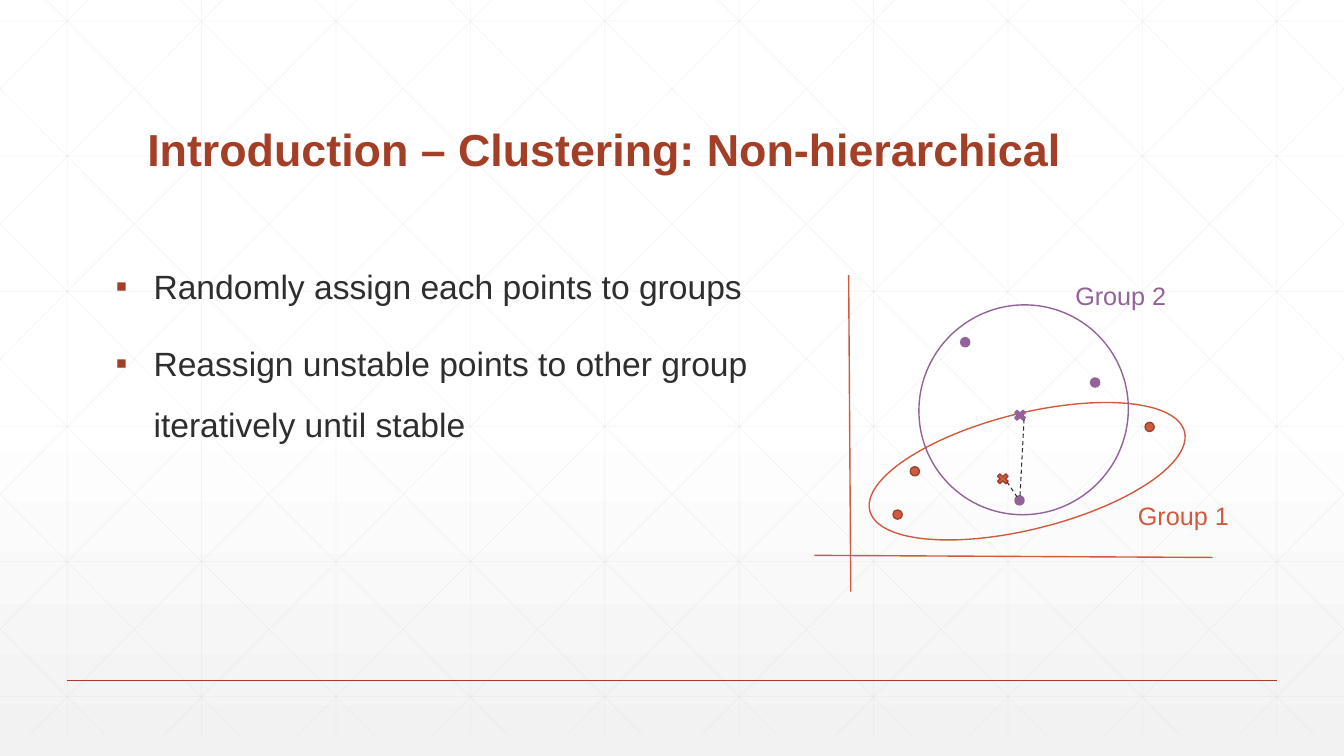
from lxml.etree import SubElement as Sub
from pptx import Presentation
from pptx.dml.color import RGBColor as RGB
from pptx.enum.dml import MSO_LINE as Dash
from pptx.enum.shapes import MSO_CONNECTOR as Conn, MSO_SHAPE as Kind
from pptx.enum.text import MSO_ANCHOR as Anchor, PP_ALIGN as Align
from pptx.oxml.ns import qn
from pptx.util import Pt

HUES = {
    "white": "FFFFFF", "mist": "F2F2F2", "grid": "D9D9D9", "rust": "A43F27",
    "red": "D15A3E", "edge": "9B432E", "plum": "926397", "ink": "2D2E2D",
}
WIDE, HIGH = 960, 540


def hue(name):
    return RGB.from_string(HUES[name])


def assign(obj, vals):
    for key, val in vals.items():
        setattr(obj, key, val)


class Deck:
    """Holds the text font and the slide being drawn."""

    def __init__(self, slide, font="Arial"):
        self.slide, self.shapes, self.font = slide, slide.shapes, font

    def back(self, top, low, start):
        fill = self.slide.background.fill
        fill.gradient()
        fill.gradient_angle = 270
        for stop, name, pos in zip(fill.gradient_stops, (top, low), (start, 1)):
            stop.color.rgb = hue(name)
            stop.position = pos

    def line(self, x1, y1, x2, y2, color, width=1, dash=None, alpha=None):
        conn = self.shapes.add_connector(
            Conn.STRAIGHT, Pt(x1), Pt(y1), Pt(x2), Pt(y2))
        conn.line.color.rgb = hue(color)
        assign(conn.line, {"width": Pt(width), "dash_style": dash})
        prop = conn._element.spPr
        if alpha:
            tint = prop.find(".//" + qn("a:srgbClr"))
            Sub(tint, qn("a:alpha"), val=str(alpha * 1000))
        Sub(prop, qn("a:effectLst"))

    def shape(self, kind, x, y, w, h, edge, fill=None, turn=0):
        item = self.shapes.add_shape(kind, Pt(x), Pt(y), Pt(w), Pt(h))
        item.shadow.inherit = False
        item.rotation = turn
        item.line.color.rgb = hue(edge)
        item.line.width = Pt(1)
        if fill:
            item.fill.solid()
            item.fill.fore_color.rgb = hue(fill)
        else:
            item.fill.background()

    def text(self, para, words, size, color, bold=False):
        run = para.add_run()
        run.text = words
        assign(run.font, {"name": self.font, "size": Pt(size), "bold": bold})
        run.font.color.rgb = hue(color)

    def title(self, x, y, w, h, words):
        item = self.shapes.title
        self.shapes._spTree.append(item._element)  # above the grid
        assign(item, {"left": Pt(x), "top": Pt(y), "width": Pt(w), "height": Pt(h)})
        frame = item.text_frame
        assign(frame, {"vertical_anchor": Anchor.BOTTOM, "word_wrap": True})
        para = frame.paragraphs[0]
        assign(para, {"alignment": Align.LEFT, "line_spacing": 0.9})
        self.text(para, words, 32, "rust", True)

    def box(self, x, y, w, h):
        frame = self.shapes.add_textbox(Pt(x), Pt(y), Pt(w), Pt(h)).text_frame
        frame.word_wrap = True
        return frame

    def label(self, x, y, words, color):
        self.text(self.box(x, y, 80, 28.8).paragraphs[0], words, 18, color)

    def points(self, x, y, w, h, items):
        frame = self.box(x, y, w, h)
        for num, words in enumerate(items):
            para = frame.add_paragraph() if num else frame.paragraphs[0]
            gap = Pt(0 if num else 12)
            assign(para, {"line_spacing": 1.5, "space_before": gap,
                          "space_after": gap})
            prop = para._p.get_or_add_pPr()
            prop.set("marL", str(Pt(27)))
            prop.set("indent", str(Pt(-27)))
            Sub(Sub(prop, qn("a:buClr")), qn("a:srgbClr"), val=HUES["rust"])
            Sub(prop, qn("a:buFont"), typeface=self.font)
            Sub(prop, qn("a:buChar"), char="▪")
            self.text(para, words, 24, "ink")


def grid(deck):
    top, low, step, run = -15, 525, 96, 537
    faint = {"color": "grid", "width": 0.5, "alpha": 25}
    for col in range(10):
        x = 48 + step * col
        deck.line(x, top, x, low, **faint)
    for row in range(6):
        y = 15 + 96.5 * row
        deck.line(0, y, WIDE, y, **faint)
    # Diagonals, cut at the slide sides and mirrored
    slope = (low - top) / run
    for num in range(-5, 10):
        x = 18 + step * num
        x1, x2 = max(x, 0), min(x + run, WIDE)
        y1, y2 = (top + (end - x) * slope for end in (x1, x2))
        deck.line(x1, y1, x2, y2, **faint)
        deck.line(WIDE - x1, y1, WIDE - x2, y2, **faint)


def chart(deck):
    # Points of both groups
    dots = {
        ("red", "edge"): [(650.2, 333.4), (637.9, 364.3), (817.9, 301.7)],
        ("plum", "plum"): [(725, 354.2), (686.2, 241.2), (779, 270)],
    }
    for (fill, edge), spots in dots.items():
        for x, y in spots:
            deck.shape(Kind.FLOWCHART_CONNECTOR, x, y, 6.5, 6.5, edge, fill)
    # Axes
    deck.line(606.2, 196.6, 607.7, 422.6, "red")
    deck.line(581.8, 396.7, 866.2, 398.2, "red")
    # Group outlines
    deck.shape(Kind.OVAL, 617.8, 295.2, 231.8, 82.8, "red", turn=345.9)
    deck.shape(Kind.OVAL, 655.9, 218.2, 150.5, 149, "plum", turn=129.2)
    # Centres and distances to the unstable point
    deck.shape(Kind.MATH_MULTIPLY, 710.6, 337, 11.5, 10, "edge", "red")
    deck.shape(Kind.MATH_MULTIPLY, 722.9, 291.6, 11.5, 10, "plum", "plum")
    deck.line(719.3, 344.2, 726.5, 355, "ink", 0.75, Dash.DASH)
    deck.line(731.5, 299.5, 728.6, 354.2, "ink", 0.75, Dash.DASH)
    # Group names
    deck.label(761, 196.6, "Group 2", "plum")
    deck.label(805.7, 354.2, "Group 1", "red")


def main():
    prs = Presentation()
    assign(prs, {"slide_width": Pt(WIDE), "slide_height": Pt(HIGH)})
    deck = Deck(prs.slides.add_slide(prs.slide_layouts[5]))
    # Backdrop
    deck.back("white", "mist", 0.53)
    grid(deck)
    deck.line(48, 486, 912, 486, "rust")
    # Text
    deck.title(98, 39.6, 760, 90, "Introduction – Clustering: Non-hierarchical")
    deck.points(75.6, 172, 479.5, 144.7, [
        "Randomly assign each points to groups",
        "Reassign unstable points to other group iteratively until stable",
    ])
    chart(deck)
    prs.save("out.pptx")


if __name__ == "__main__":
    main()
